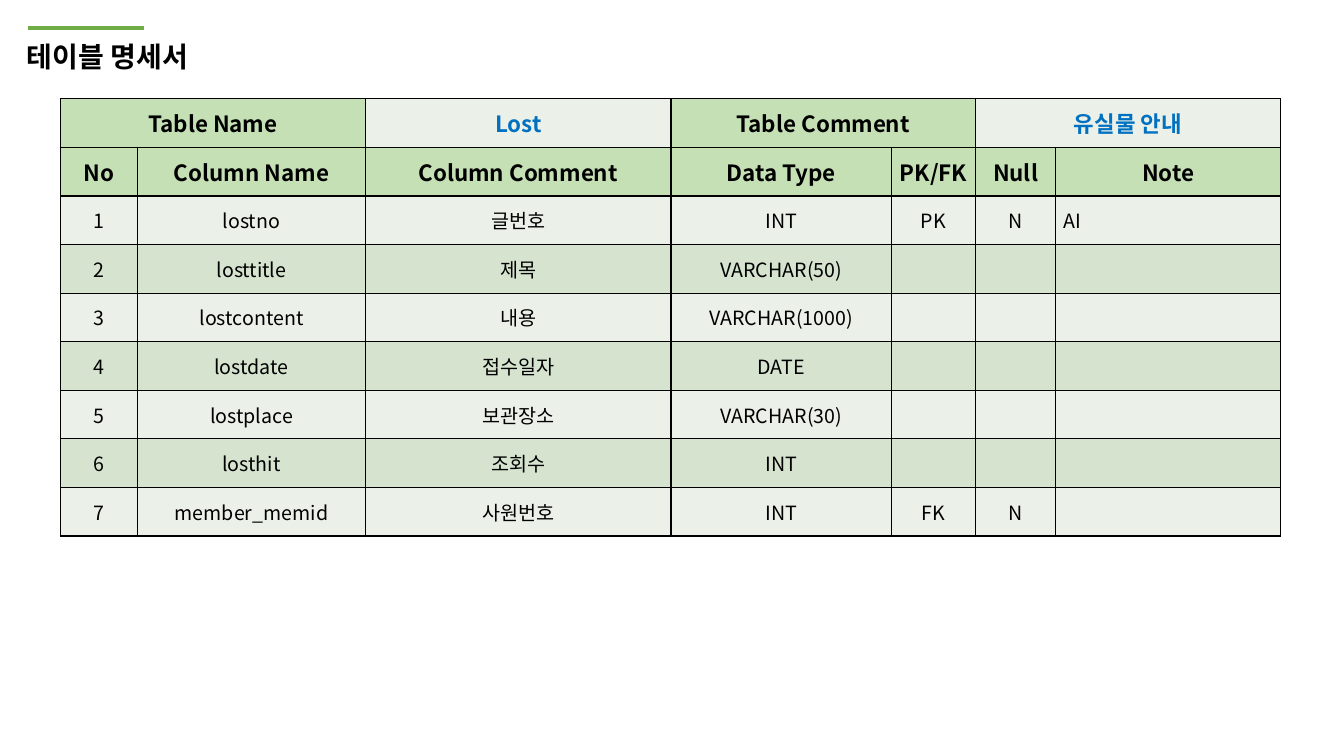
from dataclasses import dataclass

from lxml import etree
from pptx import Presentation
from pptx.dml.color import RGBColor
from pptx.enum.shapes import MSO_CONNECTOR
from pptx.enum.text import MSO_ANCHOR, MSO_AUTO_SIZE, PP_ALIGN
from pptx.oxml.ns import qn
from pptx.util import Cm, Pt

STRAIGHT = MSO_CONNECTOR.STRAIGHT
MIDDLE = MSO_ANCHOR.MIDDLE
GROW = MSO_AUTO_SIZE.SHAPE_TO_FIT_TEXT
LEFT, CENTER = PP_ALIGN.LEFT, PP_ALIGN.CENTER


@dataclass(frozen=True)
class Theme:
    """Colours, font and type sizes of the slide."""
    font: str = "Noto Sans CJK KR"
    ink: str = "000000"
    blue: str = "0070C0"
    accent: str = "70AD47"
    head: str = "C5E0B4"
    light: str = "EBF1E9"
    dark: str = "D5E3CF"
    title: int = 20
    label: int = 16
    body: int = 14


class Painter:
    """Draws styled elements on the current slide."""

    def __init__(self, slide, theme):
        self.slide = slide
        self.theme = theme

    def label(self, frame, text, size, color, bold=False, align=LEFT):
        """Put one formatted paragraph into a text frame."""
        frame.text = text
        para = frame.paragraphs[0]
        para.alignment = align
        for run in para.runs:
            font = run.font
            font.size = Pt(size)
            font.bold = bold
            font.color.rgb = RGBColor.from_string(color)
            font.name = self.theme.font
            east = etree.SubElement(run._r.get_or_add_rPr(), qn("a:ea"))
            east.set("typeface", self.theme.font)

    def title(self, text, left, top, width, height):
        """Add the bold slide title."""
        box = self.slide.shapes.add_textbox(Cm(left), Cm(top), Cm(width), Cm(height))
        frame = box.text_frame
        frame.word_wrap = True
        frame.auto_size = GROW
        self.label(frame, text, self.theme.title, self.theme.ink, True)

    def rule(self, left, right, top):
        """Add a level accent line."""
        line = self.slide.shapes.add_connector(STRAIGHT, Cm(left), Cm(top), Cm(right), Cm(top))
        line.line.color.rgb = RGBColor.from_string(self.theme.accent)
        line.line.width = Pt(3)
        etree.SubElement(line._element.spPr, qn("a:effectLst"))

    def edge(self, cell):
        """Draw a thin border on all four sides of a cell."""
        props = cell._tc.get_or_add_tcPr()
        for side in ("lnL", "lnR", "lnT", "lnB"):
            line = etree.SubElement(props, qn(f"a:{side}"), w=str(Pt(1)))
            fill = etree.SubElement(line, qn("a:solidFill"))
            etree.SubElement(fill, qn("a:srgbClr"), val=self.theme.ink)

    def cell(self, cell, text, fill, size, color, bold, align):
        """Fill, border and label one cell."""
        self.edge(cell)
        cell.fill.solid()
        cell.fill.fore_color.rgb = RGBColor.from_string(fill)
        cell.vertical_anchor = MIDDLE
        self.label(cell.text_frame, text, size, color, bold, align)

    def table(self, rows, widths, left, top, height):
        """Add the column list with two heading rows and banded data rows."""
        theme = self.theme
        frame = self.slide.shapes.add_table(
            len(rows), len(widths), Cm(left), Cm(top), Cm(sum(widths)), Cm(height))
        grid = frame.table
        for column, width in zip(grid.columns, widths):
            column.width = Cm(width)
        for r, row in enumerate(rows):
            grid.rows[r].height = Cm(height / len(rows))
            for c, text in enumerate(row):
                value = r == 0 and c in (2, 5, 6)
                color = theme.blue if value else theme.ink
                band = theme.dark if r % 2 else theme.light
                fill = theme.head if r < 2 and not value else band
                size = theme.label if r < 2 else theme.body
                note = r > 1 and c == len(widths) - 1
                self.cell(grid.cell(r, c), text, fill, size, color, r < 2,
                          LEFT if note else CENTER)
        return grid


def main():
    """Build the table specification slide."""
    deck = Presentation()
    deck.slide_width, deck.slide_height = Cm(33.87), Cm(19.05)
    pen = Painter(deck.slides.add_slide(deck.slide_layouts[6]), Theme())
    pen.title("테이블 명세서", 0.43, 0.86, 10.11, 1.12)
    pen.rule(0.71, 3.63, 0.71)
    rows = [
        ("Table Name", "", "Lost", "Table Comment", "", "유실물 안내", ""),
        ("No", "Column Name", "Column Comment", "Data Type", "PK/FK", "Null", "Note"),
        ("1", "lostno", "글번호", "INT", "PK", "N", "AI"),
        ("2", "losttitle", "제목", "VARCHAR(50)", "", "", ""),
        ("3", "lostcontent", "내용", "VARCHAR(1000)", "", "", ""),
        ("4", "lostdate", "접수일자", "DATE", "", "", ""),
        ("5", "lostplace", "보관장소", "VARCHAR(30)", "", "", ""),
        ("6", "losthit", "조회수", "INT", "", "", ""),
        ("7", "member_memid", "사원번호", "INT", "FK", "N", ""),
    ]
    widths = (1.95, 5.74, 7.7, 5.56, 2.11, 2.03, 5.66)
    grid = pen.table(rows, widths, 1.52, 2.49, 11.02)
    for start in (0, 3, 5):
        grid.cell(0, start).merge(grid.cell(0, start + 1))
    for c in (4, 5):
        tight = grid.cell(1, c)
        tight.margin_left = tight.margin_right = Cm(0.1)
        tight.margin_top = tight.margin_bottom = Cm(0.1)
    grid.cell(2, 6).margin_left = Cm(0.2)
    deck.save("out.pptx")


if __name__ == "__main__":
    main()
